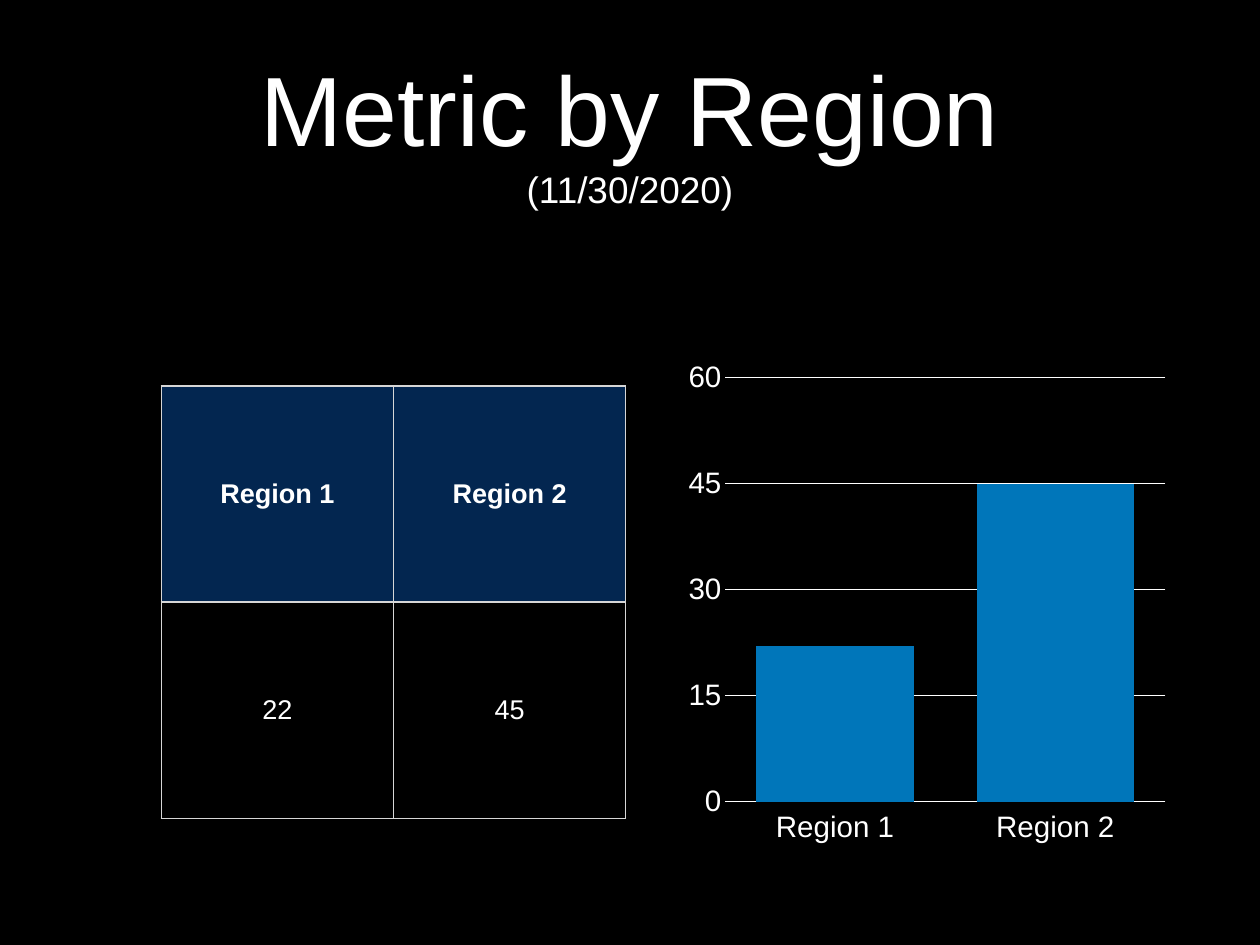
from lxml import etree
from pptx import Presentation
from pptx.chart.data import CategoryChartData
from pptx.dml.color import RGBColor
from pptx.enum.chart import XL_CHART_TYPE, XL_TICK_LABEL_POSITION, XL_TICK_MARK
from pptx.enum.text import MSO_ANCHOR, PP_ALIGN
from pptx.oxml import parse_xml
from pptx.oxml.ns import nsdecls, qn
from pptx.util import Cm, Pt

COLUMN = XL_CHART_TYPE.COLUMN_CLUSTERED
LABELS_LOW = XL_TICK_LABEL_POSITION.LOW
NO_TICK = XL_TICK_MARK.NONE
MIDDLE = MSO_ANCHOR.MIDDLE
CENTER = PP_ALIGN.CENTER

BLACK = RGBColor(0x00, 0x00, 0x00)
WHITE = RGBColor(0xFF, 0xFF, 0xFF)
NAVY = RGBColor(0x03, 0x26, 0x50)
BLUE = RGBColor(0x00, 0x76, 0xBA)
GREY = RGBColor(0xD6, 0xD6, 0xD6)

FONT = "Arial"
INSET = Cm(0.15)
MARGINS = {"margin_left": INSET, "margin_top": INSET,
           "margin_right": INSET, "margin_bottom": INSET}
REGIONS = ["Region 1", "Region 2"]
METRICS = [22, 45]


def set_font(font, size, bold=False):
    for name, value in {"name": FONT, "size": Pt(size), "bold": bold}.items():
        setattr(font, name, value)
    font.color.rgb = WHITE


def add_border(cell, side, width):
    properties = cell._tc.get_or_add_tcPr()
    line = etree.SubElement(properties, qn(f"a:ln{side}"), w=str(Pt(width)))
    fill = etree.SubElement(line, qn("a:solidFill"))
    etree.SubElement(fill, qn("a:srgbClr"), val=str(GREY))


deck = Presentation()
deck.slide_width, deck.slide_height = Cm(36.12), Cm(27.1)
page = deck.slides.add_slide(deck.slide_layouts[6])
page.background.fill.solid()
page.background.fill.fore_color.rgb = BLACK

title_box = page.shapes.add_textbox(Cm(2.64), Cm(0.71), Cm(30.84), Cm(6))
frame = title_box.text_frame
for name, value in {**MARGINS, "word_wrap": True, "vertical_anchor": MIDDLE}.items():
    setattr(frame, name, value)
frame.text = "Metric by Region\n(11/30/2020)"
for para, size in zip(frame.paragraphs, (80, 30)):
    para.alignment = CENTER
    set_font(para.runs[0].font, size)

chart_data = CategoryChartData()
chart_data.categories = REGIONS
chart_data.add_series("Metric", METRICS)
chart = page.shapes.add_chart(
    COLUMN, Cm(19.13), Cm(8.36), Cm(14.35), Cm(16.28), chart_data).chart
chart.has_title = False
chart.has_legend = False
set_font(chart.font, 24)

plot = chart.plots[0]
for name, value in {"gap_width": 40, "overlap": -10, "vary_by_categories": False}.items():
    setattr(plot, name, value)
bars = plot.series[0].format.fill
bars.solid()
bars.fore_color.rgb = BLUE

value_axis, category_axis = chart.value_axis, chart.category_axis
for name, value in {"minimum_scale": 0, "maximum_scale": 60, "major_unit": 15,
                    "has_major_gridlines": True}.items():
    setattr(value_axis, name, value)
value_axis.format.line.fill.background()
category_axis.tick_label_position = LABELS_LOW
for line in (value_axis.major_gridlines.format.line, category_axis.format.line):
    line.width = Pt(1)
    line.color.rgb = WHITE
for axis in (value_axis, category_axis):
    axis.major_tick_mark = axis.minor_tick_mark = NO_TICK
    set_font(axis.tick_labels.font, 24)

plot_area = chart._chartSpace.chart.plotArea
for layout in plot_area.findall(qn("c:layout")):
    plot_area.remove(layout)
plot_area.insert(0, parse_xml(
    f'<c:layout {nsdecls("c")}><c:manualLayout><c:layoutTarget val="inner"/>'
    '<c:xMode val="edge"/><c:yMode val="edge"/><c:x val="0.115"/><c:y val="0.152"/>'
    '<c:w val="0.88"/><c:h val="0.747"/></c:manualLayout></c:layout>'))

table = page.shapes.add_table(
    2, 2, Cm(4.62), Cm(11.07), Cm(13.32), Cm(12.4)).table
table.horz_banding = False
for column in table.columns:
    column.width = Cm(6.66)
for row in table.rows:
    row.height = Cm(6.2)

for row_index, values in enumerate((REGIONS, METRICS)):
    is_header = row_index == 0
    for column_index, value in enumerate(values):
        cell = table.cell(row_index, column_index)
        cell.text = str(value)
        for name, setting in {**MARGINS, "vertical_anchor": MIDDLE}.items():
            setattr(cell, name, setting)
        para = cell.text_frame.paragraphs[0]
        para.alignment = CENTER
        set_font(para.runs[0].font, 22, is_header)
        for side in "LRTB":
            add_border(cell, side, 2 if is_header and side == "B" else 1)
        if is_header:
            cell.fill.solid()
            cell.fill.fore_color.rgb = NAVY
        else:
            cell.fill.background()

deck.save("out.pptx")
